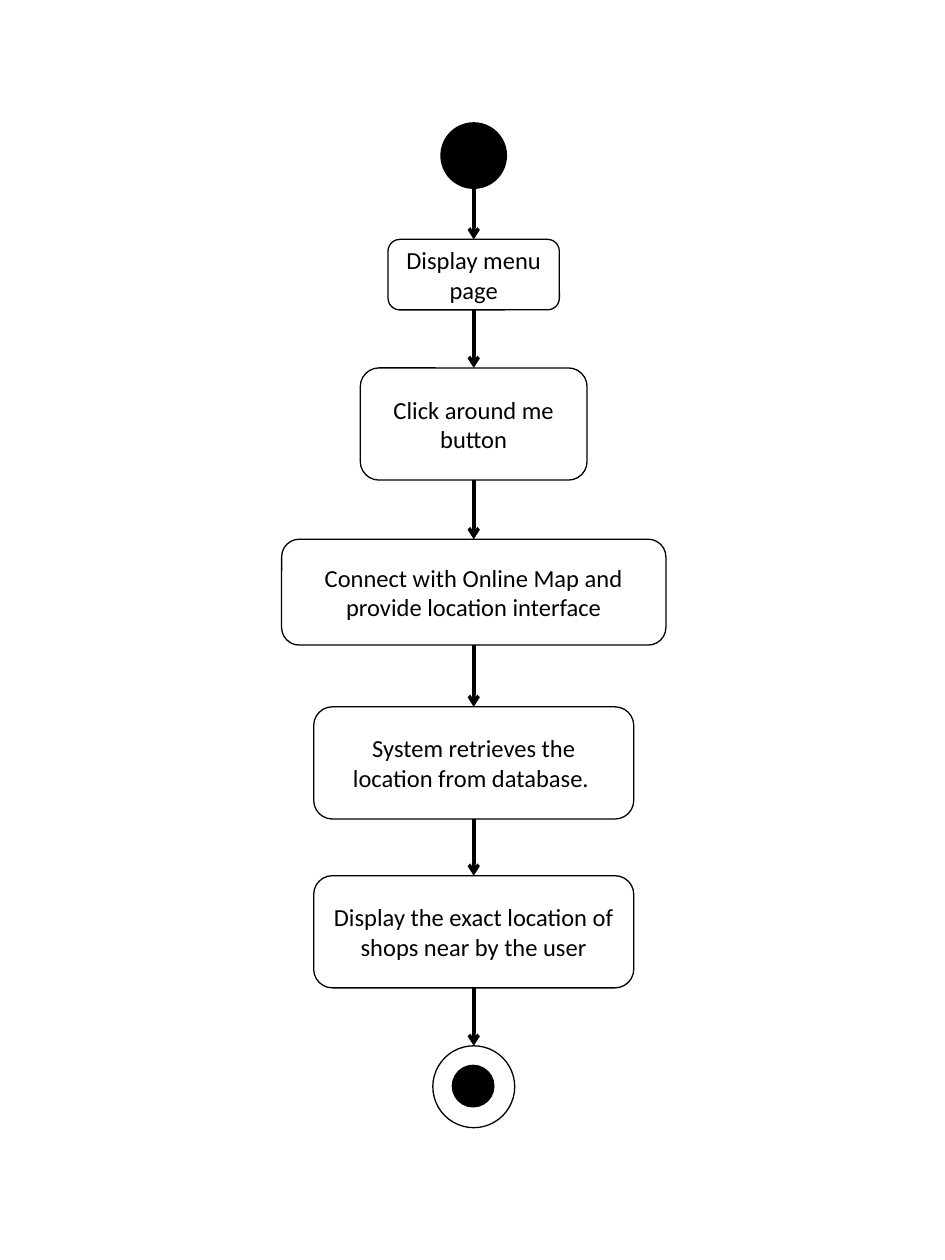
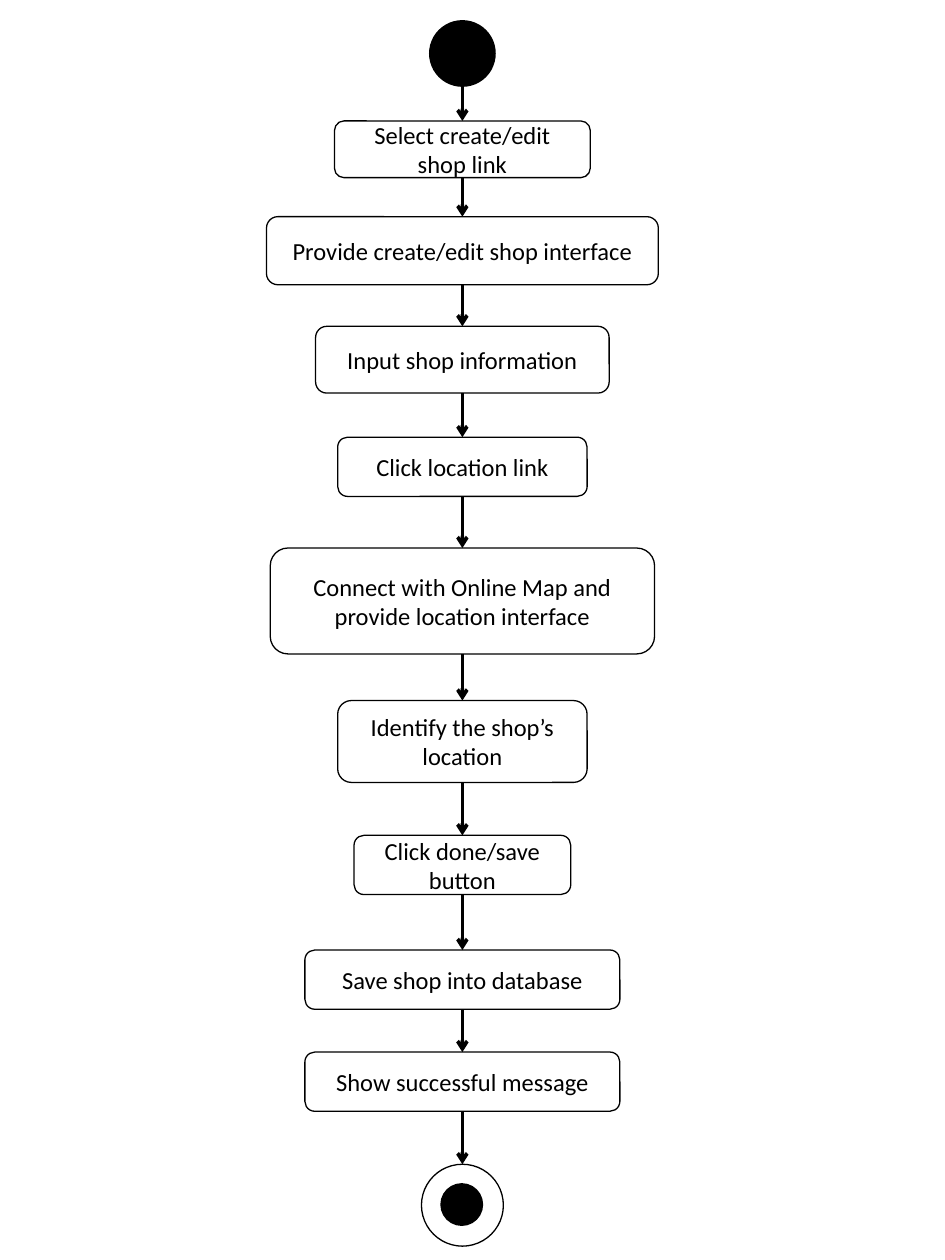
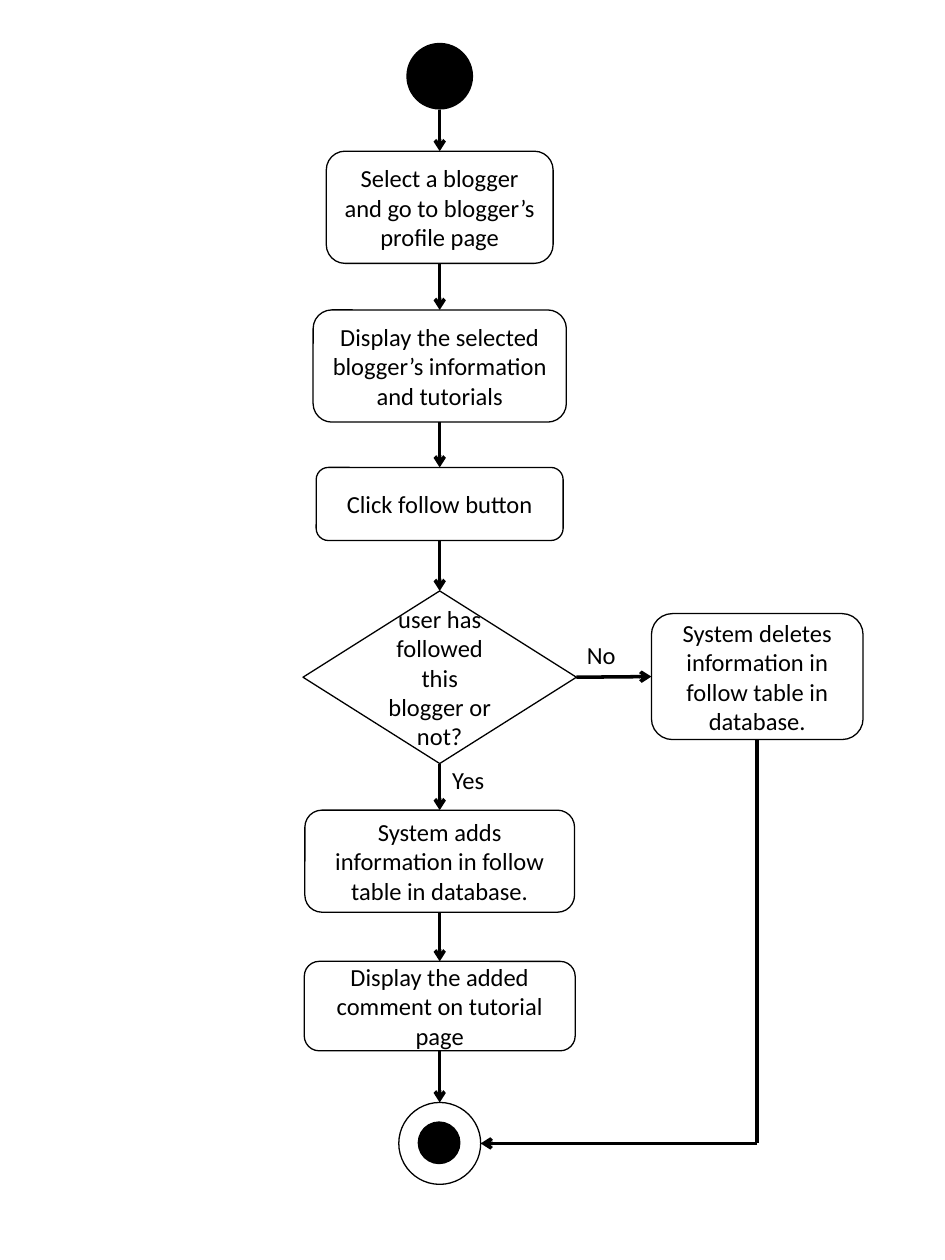
from dataclasses import dataclass

from pptx import Presentation
from pptx.dml.color import RGBColor
from pptx.enum.shapes import MSO_CONNECTOR, MSO_SHAPE
from pptx.enum.text import MSO_ANCHOR, MSO_AUTO_SIZE, PP_ALIGN
from pptx.oxml.ns import qn
from pptx.util import Inches, Pt
from lxml import etree

ROUNDED = MSO_SHAPE.ROUNDED_RECTANGLE
DECISION = MSO_SHAPE.FLOWCHART_DECISION
OVAL = MSO_SHAPE.OVAL
STRAIGHT = MSO_CONNECTOR.STRAIGHT
MIDDLE = MSO_ANCHOR.MIDDLE
CENTER = PP_ALIGN.CENTER
GROW = MSO_AUTO_SIZE.SHAPE_TO_FIT_TEXT

COLORS = {"ink": "000000", "paper": "FFFFFF"}
FONT = "Calibri"
TEXT_SIZE = Pt(14)
OUTLINE = Pt(0.75)
ARROW_WIDTH = Pt(2)

# Diameters of the start and end marks, in inches
START_SIZE = 0.53
RING_SIZE = 0.65
DOT_SIZE = 0.34
DOT_INSET = 0.15

# Connection sites of a rectangle
TOP, LEFT, BOTTOM, RIGHT = range(4)


@dataclass
class Step:
    top: float
    width: float
    height: float
    text: str
    kind: int = ROUNDED


def color(name):
    return RGBColor.from_string(COLORS[name])


def write(para, text):
    para.text = text
    para.font.name = FONT
    para.font.size = TEXT_SIZE
    para.font.color.rgb = color("ink")


def add_figure(page, kind, left, top, width, height, fill, outlined=True):
    figure = page.shapes.add_shape(
        kind, Inches(left), Inches(top), Inches(width), Inches(height))
    figure.shadow.inherit = False
    figure.fill.solid()
    figure.fill.fore_color.rgb = color(fill)
    if outlined:
        figure.line.color.rgb = color("ink")
        figure.line.width = OUTLINE
    else:
        figure.line.fill.background()
    return figure


def add_step(page, center, step):
    box = add_figure(page, step.kind, center - step.width / 2, step.top,
                     step.width, step.height, "paper")
    frame = box.text_frame
    frame.word_wrap = True
    frame.vertical_anchor = MIDDLE
    para = frame.paragraphs[0]
    para.alignment = CENTER
    write(para, step.text)
    return box


def add_start(page, center, top):
    add_figure(page, OVAL, center - START_SIZE / 2, top,
               START_SIZE, START_SIZE, "ink", outlined=False)


def add_end(page, center, top):
    left = center - RING_SIZE / 2
    ring = add_figure(page, OVAL, left, top, RING_SIZE, RING_SIZE, "paper")
    add_figure(page, OVAL, left + DOT_INSET, top + DOT_INSET,
               DOT_SIZE, DOT_SIZE, "ink", outlined=False)
    return ring


def add_line(page, start=(0, 0), end=(0, 0), begin_at=None, end_at=None, arrow=True):
    """Draw a line between points in inches, or between (shape, site) pairs."""
    line = page.shapes.add_connector(
        STRAIGHT, *(Inches(value) for value in (*start, *end)))
    if begin_at:
        line.begin_connect(*begin_at)
    if end_at:
        line.end_connect(*end_at)
    line.line.color.rgb = color("ink")
    line.line.width = ARROW_WIDTH
    if arrow:
        etree.SubElement(line.line._get_or_add_ln(), qn("a:tailEnd"), type="arrow")
    etree.SubElement(line._element.spPr, qn("a:effectLst"))


def add_label(page, left, top, width, text):
    label = page.shapes.add_textbox(
        Inches(left), Inches(top), Inches(width), Inches(0.34))
    label.text_frame.word_wrap = True
    label.text_frame.auto_size = GROW
    write(label.text_frame.paragraphs[0], text)


def add_flow(deck, center, start_top, steps, end_top):
    """Draw one column from start mark to end mark, joined by arrows."""
    page = deck.slides.add_slide(deck.slide_layouts[6])
    add_start(page, center, start_top)
    boxes = [add_step(page, center, step) for step in steps]
    ring = add_end(page, center, end_top)
    add_line(page, start=(center, start_top + START_SIZE), end_at=(boxes[0], TOP))
    for upper, lower in zip(boxes, boxes[1:] + [ring]):
        add_line(page, begin_at=(upper, BOTTOM), end_at=(lower, TOP))
    return page, boxes


def add_nearby_flow(deck):
    add_flow(deck, 3.76, 0.97, [
        Step(1.9, 1.36, 0.56, "Display menu page"),
        Step(2.92, 1.8, 0.89, "Click around me button"),
        Step(4.28, 3.05, 0.84, "Connect with Online Map and provide location interface"),
        Step(5.61, 2.54, 0.89, "System retrieves the location from database. "),
        Step(6.95, 2.54, 0.89, "Display the exact location of shops near by the user"),
    ], 8.3)


def add_shop_flow(deck):
    add_flow(deck, 3.67, 0.16, [
        Step(0.96, 2.03, 0.45, "Select create/edit shop link"),
        Step(1.72, 3.11, 0.54, "Provide create/edit shop interface"),
        Step(2.59, 2.33, 0.53, "Input shop information"),
        Step(3.47, 1.98, 0.47, "Click location link"),
        Step(4.35, 3.05, 0.84, "Connect with Online Map and provide location interface"),
        Step(5.56, 1.98, 0.65, "Identify the shop’s location"),
        Step(6.63, 1.72, 0.47, "Click done/save button"),
        Step(7.54, 2.5, 0.47, "Save shop into database"),
        Step(8.35, 2.5, 0.47, "Show successful message"),
    ], 9.24)


def add_follow_flow(deck):
    center, end_top = 3.49, 8.75
    page, boxes = add_flow(deck, center, 0.34, [
        Step(1.2, 1.8, 0.89, "Select a blogger and go to blogger’s profile page"),
        Step(2.46, 2.01, 0.89, "Display the selected blogger’s information and tutorials"),
        Step(3.71, 1.96, 0.58, "Click follow button"),
        Step(4.69, 2.17, 1.37, "user has followed this blogger or not?", DECISION),
        Step(6.43, 2.14, 0.81, "System adds information in follow table in database."),
        Step(7.63, 2.15, 0.71, "Display the added comment on tutorial page"),
    ], end_top)
    decision = boxes[3]

    # Side branch that returns to the end mark
    side = 6.01
    deletion = add_step(page, side, Step(
        4.87, 1.68, 1, "System deletes information in follow table in database."))
    add_line(page, begin_at=(decision, RIGHT), end_at=(deletion, LEFT))
    corner = (side, end_top + RING_SIZE / 2)
    add_line(page, start=corner, end_at=(deletion, BOTTOM), arrow=False)
    add_line(page, start=corner, end=(center + RING_SIZE / 2, corner[1]))

    # Answers
    add_label(page, 3.49, 6.02, 0.65, "Yes")
    add_label(page, 4.56, 5.03, 0.47, "No")


def main():
    deck = Presentation()
    deck.slide_width = Inches(7.5)
    deck.slide_height = Inches(10)
    add_nearby_flow(deck)
    add_shop_flow(deck)
    add_follow_flow(deck)
    deck.save("out.pptx")


if __name__ == "__main__":
    main()
